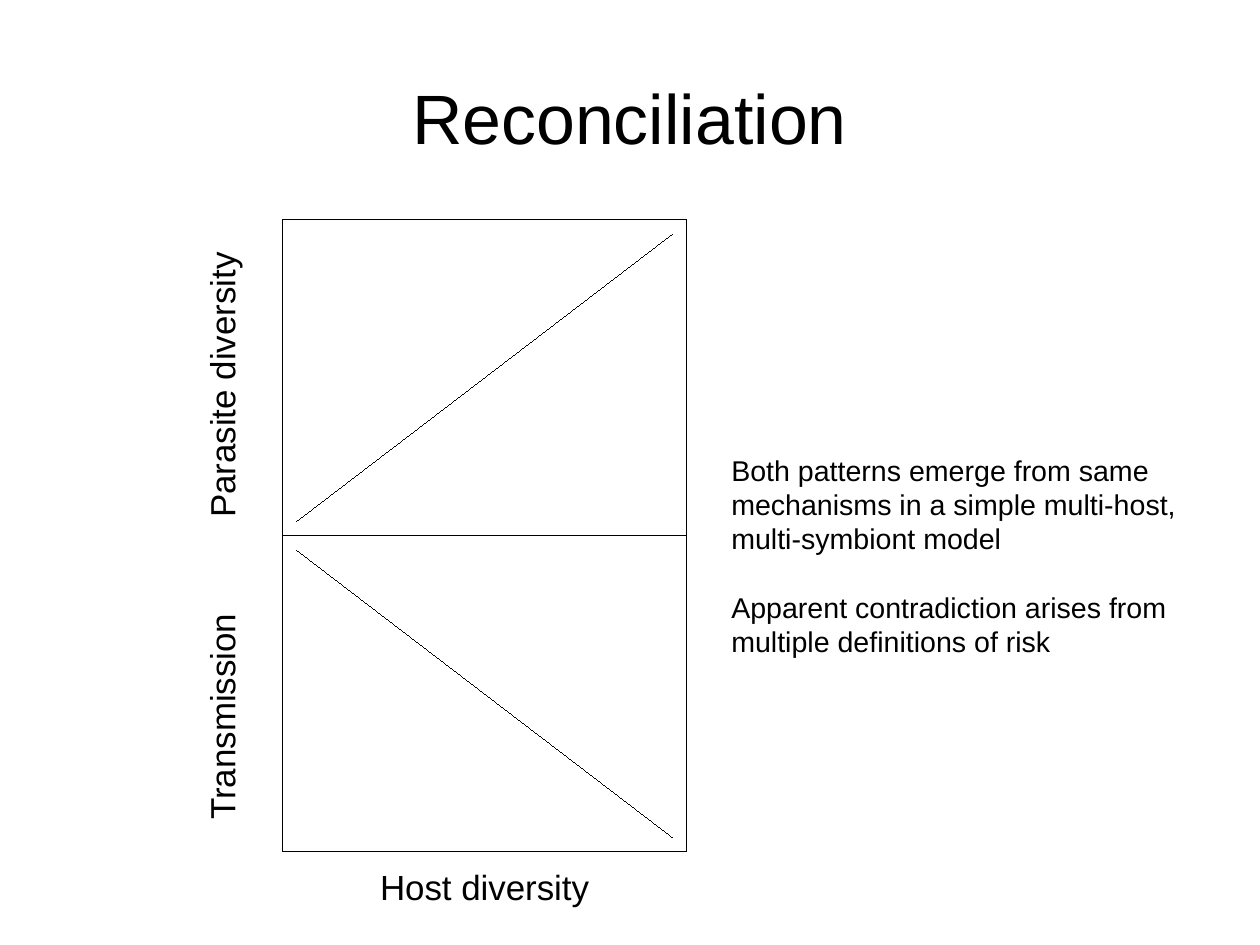
"""Build the Reconciliation slide: two stacked trend panels with a short explanation."""
from lxml import etree
from pptx import Presentation
from pptx.dml.color import RGBColor
from pptx.enum.shapes import MSO_CONNECTOR, MSO_SHAPE
from pptx.enum.text import MSO_ANCHOR, PP_ALIGN
from pptx.oxml.ns import qn
from pptx.util import Pt

STRAIGHT = MSO_CONNECTOR.STRAIGHT
RECTANGLE = MSO_SHAPE.RECTANGLE
TOP, MIDDLE = MSO_ANCHOR.TOP, MSO_ANCHOR.MIDDLE
LEFT, CENTER = PP_ALIGN.LEFT, PP_ALIGN.CENTER
COLORS = {"ink": "000000", "paper": "FFFFFF"}
INK = RGBColor.from_string(COLORS["ink"])
PAPER = RGBColor.from_string(COLORS["paper"])
HAIRLINE = Pt(0.01)


def write_text(shape, *texts, size, align=CENTER, anchor=TOP, margins=(7.2, 3.6), gap=0):
    """Fill a shape with one formatted paragraph per text."""
    frame = shape.text_frame
    frame.word_wrap = True
    frame.vertical_anchor = anchor
    frame.margin_left = frame.margin_right = Pt(margins[0])
    frame.margin_top = frame.margin_bottom = Pt(margins[1])
    frame.text = "\n".join(texts)
    for index, paragraph in enumerate(frame.paragraphs):
        paragraph.alignment = align
        paragraph.space_before = Pt(gap if index else 0)
        paragraph.font.name = "Arial"
        paragraph.font.size = Pt(size)
        paragraph.font.color.rgb = INK


presentation = Presentation()
presentation.slide_width = Pt(793.7)
presentation.slide_height = Pt(595.28)
slide = presentation.slides.add_slide(presentation.slide_layouts[5])
slide.background.fill.solid()
slide.background.fill.fore_color.rgb = PAPER

title = slide.shapes.title
title.left, title.top, title.width, title.height = Pt(39.6), Pt(23.76), Pt(714.24), Pt(99.36)
write_text(title, "Reconciliation", size=44, anchor=MIDDLE, margins=(0, 0))

panel_left, panel_top, panel_width, panel_height = 177.84, 138.24, 254.88, 199.2
inset = 9.2
label_height = 38.88
label_center_x = 142.2
panels = [
    ("Parasite diversity", 255.6, 242.64, True),
    ("Transmission", 193.68, 451.44, False),
]

for row, (label, label_width, label_center_y, rising) in enumerate(panels):
    top = panel_top + row * panel_height
    panel = slide.shapes.add_shape(
        RECTANGLE, Pt(panel_left), Pt(top), Pt(panel_width), Pt(panel_height))
    panel.shadow.inherit = False
    panel.fill.solid()
    panel.fill.fore_color.rgb = PAPER
    panel.line.color.rgb = INK
    panel.line.width = HAIRLINE

    start_y, end_y = top + inset, top + panel_height - inset
    if rising:
        start_y, end_y = end_y, start_y
    trend = slide.shapes.add_connector(
        STRAIGHT, Pt(panel_left + inset), Pt(start_y),
        Pt(panel_left + panel_width - inset), Pt(end_y))
    trend.line.color.rgb = INK
    trend.line.width = HAIRLINE
    etree.SubElement(trend.element.spPr, qn("a:effectLst"))

    axis_label = slide.shapes.add_textbox(
        Pt(label_center_x - label_width / 2), Pt(label_center_y - label_height / 2),
        Pt(label_width), Pt(label_height))
    axis_label.rotation = 270
    write_text(axis_label, label, size=22)

host_label = slide.shapes.add_textbox(
    Pt(panel_left), Pt(541.44), Pt(panel_width), Pt(label_height))
write_text(host_label, "Host diversity", size=22)

explanation = slide.shapes.add_textbox(Pt(453.6), Pt(281.52), Pt(316.8), Pt(162.72))
write_text(
    explanation,
    "Both patterns emerge from same mechanisms in a simple multi-host, multi-symbiont model",
    "Apparent contradiction arises from multiple definitions of risk",
    size=18, align=LEFT, gap=21.6)

presentation.save("out.pptx")
